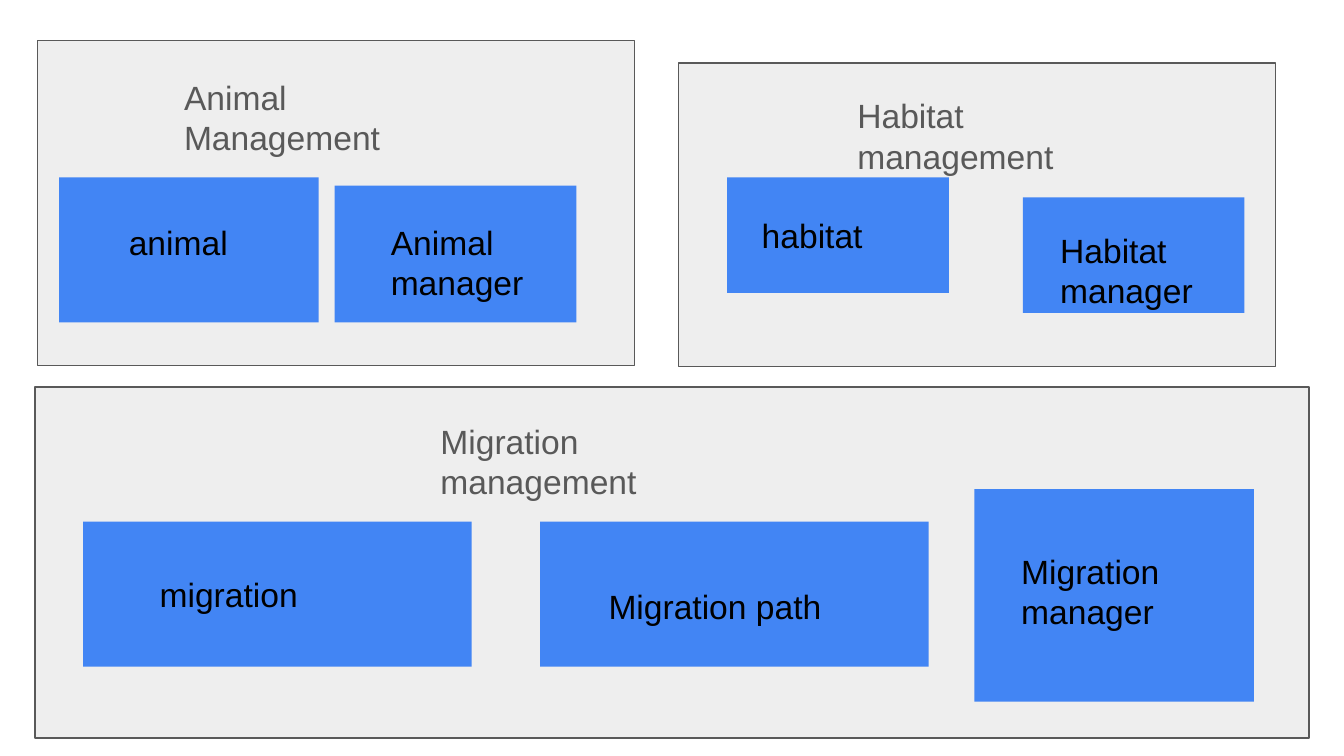
from pptx import Presentation
from pptx.dml.color import RGBColor
from pptx.enum.shapes import MSO_SHAPE
from pptx.util import Pt

COLORS = {"panel": "EEEEEE", "gray": "595959", "blue": "4285F4", "black": "000000"}

# Each panel: box, title and its box, then classes as (name, box, label box).
# Inner boxes are relative to the box around them.
PANELS = [
    ((20.2, 21.6, 319.7, 174.2), "Animal Management", (71.3, 12.2, 154.8, 50.4), [
        ("animal", (11.5, 73.4, 139, 77.8), (30.2, 16.6, 85, 36)),
        ("Animal manager", (159.1, 77.8, 129.6, 73.4), (23, 12.2, 105.1, 36)),
    ]),
    ((363.6, 33.8, 319.7, 162.7), "Habitat management", (88.6, 10.1, 142.6, 61.9), [
        ("habitat", (25.9, 61.2, 118.8, 61.9), (11.5, 13, 85, 36)),
        ("Habitat manager", (184.3, 72, 118.8, 61.9), (13, 10.1, 110.9, 36)),
    ]),
    ((18.7, 207.4, 682.6, 187.9), "Migration management", (210.2, 10.8, 139, 50.4), [
        ("migration", (25.9, 72, 208.1, 77.8), (33.8, 20.9, 116.6, 36)),
        ("Migration path", (270.7, 72, 208.1, 77.8), (29.5, 27.4, 167, 36)),
        ("Migration manager", (503.3, 54.7, 149.8, 113.8), (18, 25.9, 118.8, 73.4)),
    ]),
]


def color(name):
    return RGBColor.from_string(COLORS[name])


def inside(outer, box):
    return outer[0] + box[0], outer[1] + box[1], box[2], box[3]


def add_rect(slide, box, fill, line=None):
    rect = slide.shapes.add_shape(MSO_SHAPE.RECTANGLE, *map(Pt, box))
    rect.shadow.inherit = False
    rect.fill.solid()
    rect.fill.fore_color.rgb = color(fill)
    if line:
        rect.line.color.rgb = color(line)
        rect.line.width = Pt(0.75)
    else:
        rect.line.fill.background()


def add_label(slide, box, text, ink):
    frame = slide.shapes.add_textbox(*map(Pt, box)).text_frame
    frame.word_wrap = True
    frame.margin_left = frame.margin_right = Pt(7.2)
    frame.margin_top = frame.margin_bottom = Pt(7.2)
    frame.text = text
    font = frame.paragraphs[0].runs[0].font
    font.name, font.size = "Arial", Pt(18)
    font.color.rgb = color(ink)


def add_panel(slide, box, title, head, classes):
    add_rect(slide, box, "panel", "gray")
    # Class boxes with their labels
    for name, part, label in classes:
        spot = inside(box, part)
        add_rect(slide, spot, "blue")
        add_label(slide, inside(spot, label), name, "black")
    # Panel title
    add_label(slide, inside(box, head), title, "gray")


def main():
    deck = Presentation()
    deck.slide_width, deck.slide_height = Pt(720), Pt(405)
    slide = deck.slides.add_slide(deck.slide_layouts[6])
    for panel in PANELS:
        add_panel(slide, *panel)
    deck.save("out.pptx")


if __name__ == "__main__":
    main()
